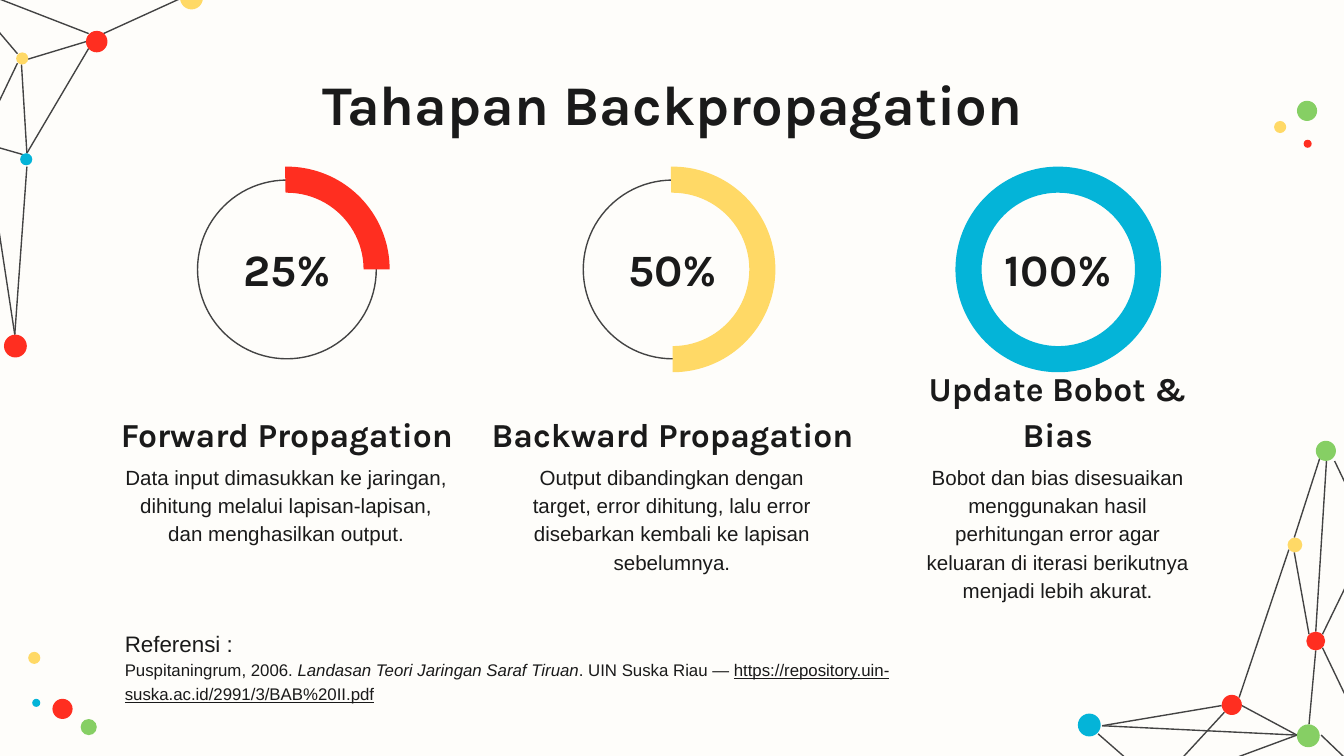
from lxml.etree import SubElement
from pptx import Presentation
from pptx.dml.color import RGBColor
from pptx.enum.shapes import MSO_CONNECTOR, MSO_SHAPE
from pptx.enum.text import MSO_ANCHOR, MSO_AUTO_SIZE, PP_ALIGN
from pptx.oxml.ns import qn
from pptx.util import Emu, Pt

PAPER = RGBColor(0xFE, 0xFD, 0xFA)
INK = RGBColor(0x1A, 0x1A, 0x1A)
GREY = RGBColor(0x43, 0x43, 0x43)
RED = RGBColor(0xFF, 0x2E, 0x20)
YELLOW = RGBColor(0xFF, 0xD9, 0x66)
BLUE = RGBColor(0x04, 0xB4, 0xD8)
GREEN = RGBColor(0x86, 0xCF, 0x64)

TOP_LEFT_DOTS = [(134, -10, 17, YELLOW), (3, 249, 17, RED), (64, 23, 16, RED),
                 (15, 114, 9, BLUE), (12, 39, 9, YELLOW)]
TOP_LEFT_LINES = [(21, 44, 64, 31), (77, 25, 134, -1), (20, 124, 11, 249),
                  (-10, 111, 11, 249), (-4, 109, 17, 115), (-10, 95, 13, 47),
                  (-32, -13, 13, 40), (66, 25, -32, -13), (20, 114, 16, 48),
                  (20, 114, 66, 36)]
BOTTOM_RIGHT_DOTS = [(2, 231, 17, BLUE), (158, 100, 11, YELLOW), (165, 239, 17, GREEN),
                     (109, 217, 15, RED), (172, 170, 14, RED), (179, 28, 15, GREEN)]
BOTTOM_RIGHT_LINES = [(182, 41, 163, 100), (163, 111, 174, 172), (187, 43, 179, 170),
                      (174, 239, 179, 184), (124, 225, 165, 247), (65, 284, 165, 247),
                      (17, 246, 57, 281), (20, 240, 109, 225), (64, 281, 111, 230),
                      (122, 219, 159, 109), (193, 43, 218, 95), (184, 172, 218, 102),
                      (184, 182, 232, 282), (183, 247, 229, 291), (20, 240, 165, 247)]
BOTTOM_LEFT_DOTS = [(0, 0, 9, YELLOW), (18, 35, 15, RED), (39, 50, 12, GREEN), (3, 35, 6, BLUE)]
TOP_RIGHT_DOTS = [(0, 15, 9, YELLOW), (17, 0, 15, GREEN), (22, 29, 6, RED)]

STEPS = [
    ("25%", 180, RED, "Forward Propagation", 301, 260,
     "Data input dimasukkan ke jaringan, dihitung melalui lapisan-lapisan, "
     "dan menghasilkan output."),
    ("50%", 90, YELLOW, "Backward Propagation", 317, 260,
     "Output dibandingkan dengan target, error dihitung, lalu error disebarkan "
     "kembali ke lapisan sebelumnya."),
    ("100%", 271.1, BLUE, "Update Bobot & Bias", 264, 232,
     "Bobot dan bias disesuaikan menggunakan hasil perhitungan error agar "
     "keluaran di iterasi berikutnya menjadi lebih akurat."),
]
ARC_END = 271


def px(n):
    """Turn px, a hundred to the inch, into EMU."""
    return Emu(n * 9144)


def write(sp, paragraphs, size=11, font="Arial", bold=False, align=PP_ALIGN.CENTER,
          anchor=MSO_ANCHOR.TOP, spacing=None):
    """Fill a shape with paragraphs, each a list of (text, run format) pairs."""
    tf = sp.text_frame
    tf.word_wrap = True
    tf.auto_size = MSO_AUTO_SIZE.NONE
    tf.vertical_anchor = anchor
    tf.margin_left = tf.margin_right = tf.margin_top = tf.margin_bottom = px(10)
    for i, runs in enumerate(paragraphs):
        p = tf.add_paragraph() if i else tf.paragraphs[0]
        p.alignment = align
        p.line_spacing = spacing
        for text, fmt in runs:
            r = p.add_run()
            r.text = text
            r.font.name = font
            r.font.size = Pt(fmt.get("size", size))
            r.font.bold = bold
            r.font.italic = fmt.get("italic")
            r.font.underline = fmt.get("underline")
            r.font.color.rgb = INK


def add_text(s, x, y, w, h, text, **fmt):
    """Add a text box that holds one plain paragraph."""
    write(s.shapes.add_textbox(px(x), px(y), px(w), px(h)), [[(text, {})]], **fmt)


def add_shape(s, kind, x, y, size, fill=None):
    """Add a square preset shape, filled or else outlined."""
    sp = s.shapes.add_shape(kind, px(x), px(y), px(size), px(size))
    sp.shadow.inherit = False
    if fill is None:
        sp.fill.background()
        sp.line.color.rgb = GREY
        sp.line.width = Pt(0.75)
    else:
        sp.fill.solid()
        sp.fill.fore_color.rgb = fill
        sp.line.fill.background()
    return sp


def add_network(s, x, y, dots, lines=()):
    """Draw dots and the lines between them from a corner at x, y."""
    for x1, y1, x2, y2 in lines:
        line = s.shapes.add_connector(MSO_CONNECTOR.STRAIGHT, px(x + x1), px(y + y1),
                                      px(x + x2), px(y + y2))
        line.line.color.rgb = GREY
        line.line.width = Pt(0.75)
        SubElement(line.element.spPr, qn("a:effectLst"))
    for dx, dy, size, color in dots:
        add_shape(s, MSO_SHAPE.OVAL, x + dx, y + dy, size, color)


def add_step(s, cx, y, share, start, color, heading, heading_w, body_w, body):
    """Draw a progress ring, heading and text centred on cx, from y down."""
    add_shape(s, MSO_SHAPE.OVAL, cx - 66, y + 10, 133)
    arc = add_shape(s, MSO_SHAPE.BLOCK_ARC, cx - 76, y, 153, color)
    for i, value in enumerate((start * 0.6, ARC_END * 0.6, 0.127)):
        arc.adjustments[i] = value
    arc.element.spPr.xfrm.set("flipH", "1")
    add_text(s, cx - 55, y + 54, 111, 44, share, size=24, font="Karla", bold=True,
             anchor=MSO_ANCHOR.MIDDLE)
    add_text(s, cx - body_w // 2, y + 209, body_w, 96, body, spacing=1.15)
    add_text(s, cx - heading_w // 2, y + 169, heading_w, 55, heading, size=18,
             font="Karla", bold=True, anchor=MSO_ANCHOR.BOTTOM, spacing=1.15)


def add_title(s, x, y, w, h, text):
    """Move the title placeholder and fill it."""
    sp = s.shapes.title
    sp.left, sp.top, sp.width, sp.height = px(x), px(y), px(w), px(h)
    write(sp, [[(text, {})]], size=30, font="Karla", bold=True)


def add_reference(s, x, y, w, h):
    """Add the reference block."""
    sp = s.shapes.add_textbox(px(x), px(y), px(w), px(h))
    write(sp, [
        [("Referensi :", {"size": 12})],
        [("Puspitaningrum, 2006. ", {}),
         ("Landasan Teori Jaringan Saraf Tiruan", {"italic": True}),
         (". UIN Suska Riau — ", {}),
         ("https://repository.uin-suska.ac.id/2991/3/BAB%20II.pdf", {"underline": True})],
    ], size=9, align=PP_ALIGN.LEFT, spacing=1.15)


def main():
    """Build the slide and save it."""
    prs = Presentation()
    prs.slide_width = px(1000)
    prs.slide_height = Emu(prs.slide_width * 9 // 16)
    s = prs.slides.add_slide(prs.slide_layouts[5])
    s.background.fill.solid()
    s.background.fill.fore_color.rgb = PAPER
    add_network(s, 0, 0, TOP_LEFT_DOTS, TOP_LEFT_LINES)
    add_network(s, 800, 300, BOTTOM_RIGHT_DOTS, BOTTOM_RIGHT_LINES)
    add_network(s, 21, 485, BOTTOM_LEFT_DOTS)
    add_network(s, 948, 75, TOP_RIGHT_DOTS)
    add_title(s, 79, 42, 843, 63, "Tahapan Backpropagation")
    for i, step in enumerate(STEPS):
        add_step(s, 213 + 287 * i, 124, *step)
    add_reference(s, 83, 456, 602, 63)
    prs.save("out.pptx")


if __name__ == "__main__":
    main()
